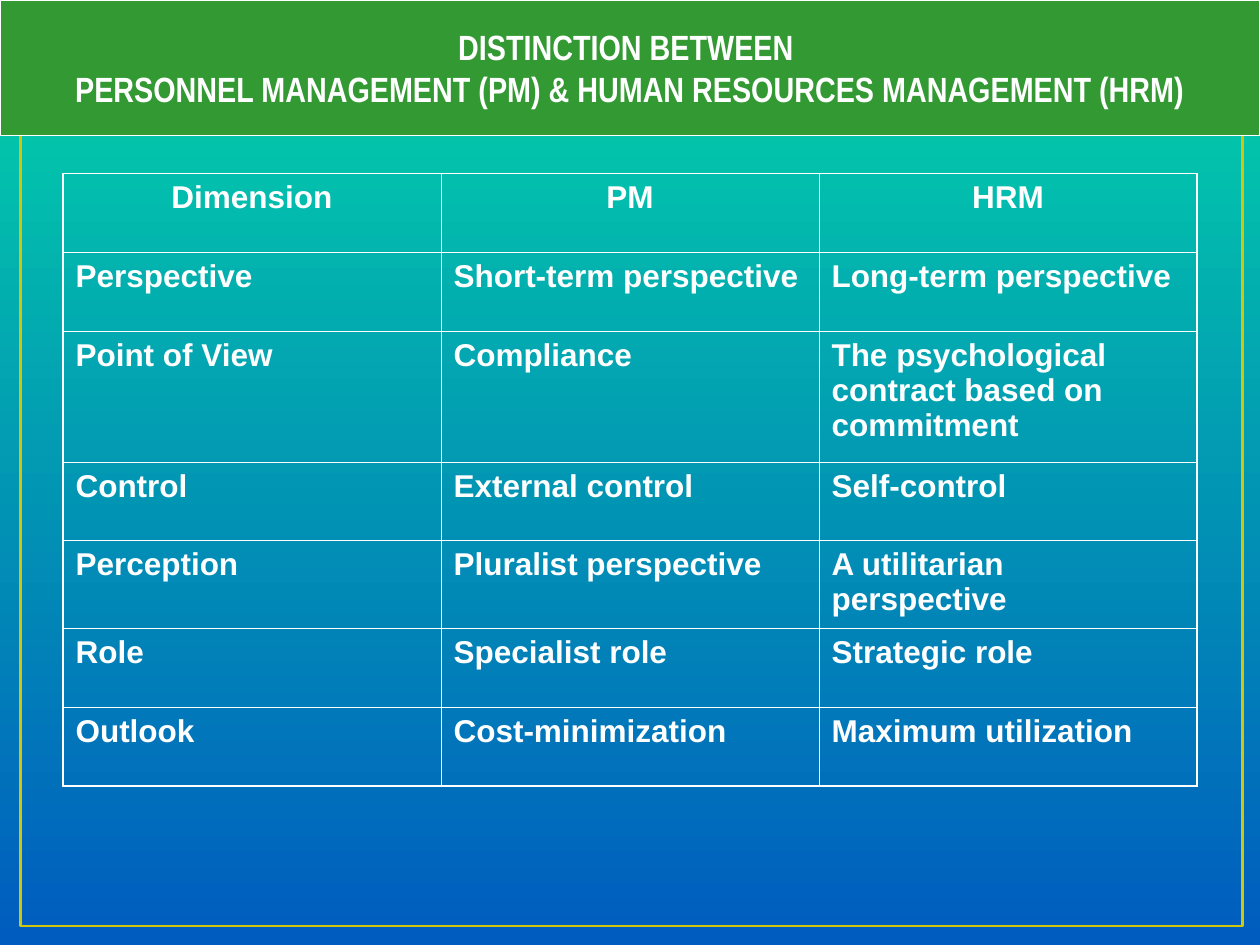
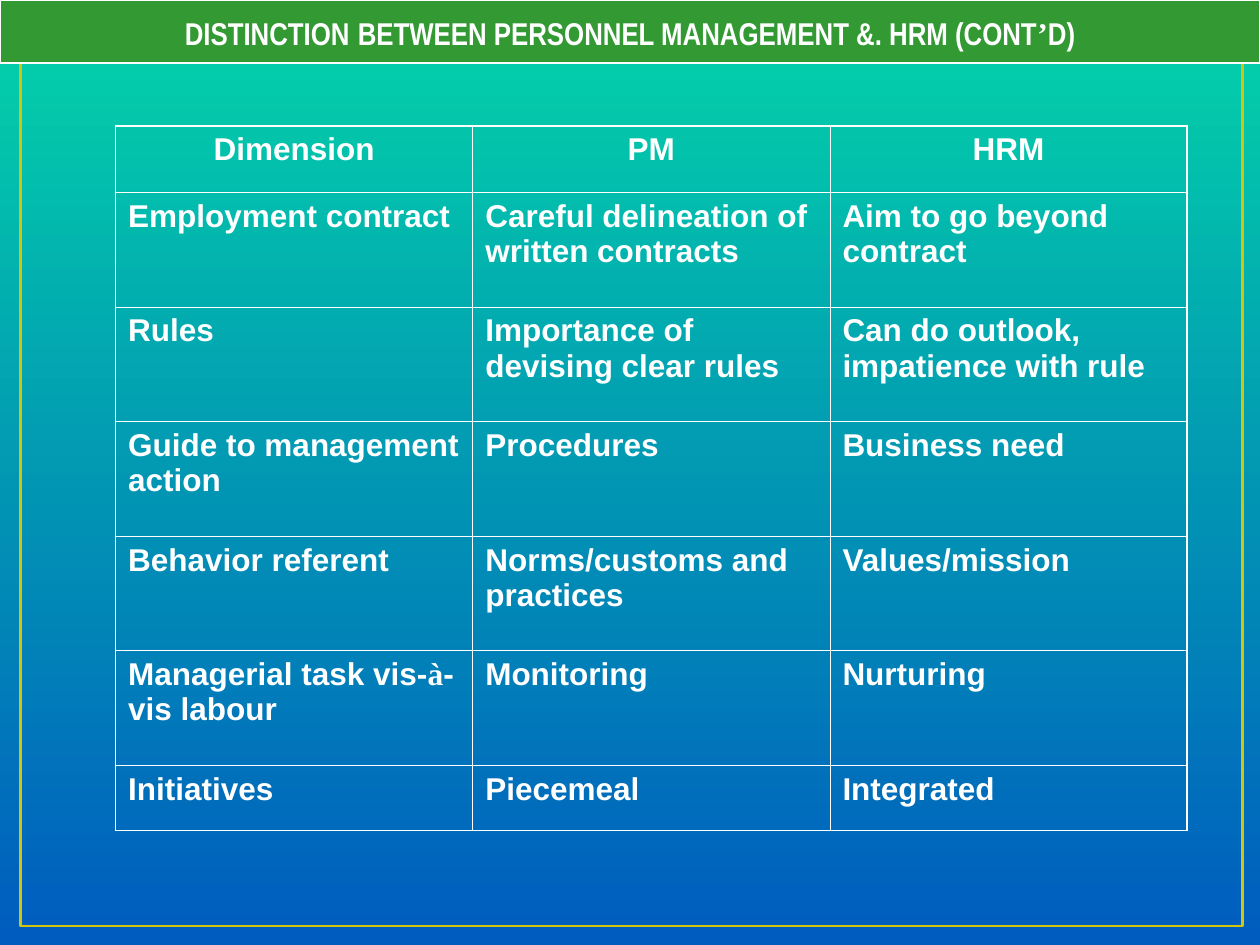
"""Build two slides that compare personnel management with HRM."""
from lxml.etree import SubElement
from pptx import Presentation
from pptx.dml.color import RGBColor
from pptx.enum.shapes import MSO_SHAPE as SHAPE
from pptx.enum.text import MSO_ANCHOR as ANCHOR, PP_ALIGN as ALIGN
from pptx.oxml.ns import qn
from pptx.util import Cm, Pt

COLORS = {"top": "03D4A8", "bottom": "005CBF", "frame": "CFC60D",
          "band": "339933", "white": "FFFFFF"}
TITLE = {"name": "Arial Narrow", "size": Pt(20), "bold": True}
BODY = {"name": "Arial", "size": Pt(18), "bold": True}
SMALL = {"size": Pt(18)}
SERIF = {"name": "Times New Roman"}
OUTER, INNER = Pt(1.08), Pt(0.45)
WIDTH, HEIGHT = Cm(25.4), Cm(19.05)
HEADER = ("Dimension", "PM", "HRM")

SLIDES = [
    {
        "title": [["DISTINCTION BETWEEN "],
                  ["PERSONNEL MANAGEMENT (PM) & HUMAN RESOURCES MANAGEMENT (HRM)"]],
        "band": Cm(2.74),
        "at": (Cm(1.27), Cm(3.5)),
        "col": Cm(7.62),
        "heights": [1.59, 1.59, 2.64, 1.57, 1.78, 1.59, 1.59],
        "rows": [
            ("Perspective", "Short-term perspective", "Long-term perspective"),
            ("Point of View", "Compliance",
             "The psychological contract based on commitment"),
            ("Control", "External control", "Self-control"),
            ("Perception", "Pluralist perspective", "A utilitarian perspective"),
            ("Role", "Specialist role", "Strategic role"),
            ("Outlook", "Cost-minimization", "Maximum utilization"),
        ],
    },
    {
        "title": [[("DISTINCTION", SMALL), " ",
                   ("BETWEEN PERSONNEL MANAGEMENT &. HRM (CONT", SMALL),
                   ("’", SMALL | SERIF), ("D)", SMALL)]],
        "band": Cm(1.27),
        "at": (Cm(2.33), Cm(2.54)),
        "col": Cm(7.2),
        "heights": [1.34] + [2.31] * 5 + [1.31],
        "rows": [
            ("Employment contract", "Careful delineation of written contracts",
             "Aim to go beyond contract"),
            ("Rules", "Importance of devising clear rules",
             "Can do outlook, impatience with rule"),
            ("Guide to management action", "Procedures", "Business need"),
            ("Behavior referent", "Norms/customs and practices", "Values/mission"),
            (["Managerial task vis-", ("à", SERIF), "-vis labour"],
             "Monitoring", "Nurturing"),
            ("Initiatives", "Piecemeal", "Integrated"),
        ],
    },
]


def rgb(key):
    return RGBColor.from_string(COLORS[key])


def write(p, runs, style, align):
    p.alignment = align
    for run in [runs] if isinstance(runs, str) else runs:
        text, extra = (run, {}) if isinstance(run, str) else run
        r = p.add_run()
        r.text = text
        for name, value in (style | extra).items():
            setattr(r.font, name, value)
        r.font.color.rgb = rgb("white")


def add_box(s, at, line, weight, fill=None):
    sp = s.shapes.add_shape(SHAPE.RECTANGLE, *at)
    sp.shadow.inherit = False
    sp.line.color.rgb = rgb(line)
    sp.line.width = Pt(weight)
    if fill:
        sp.fill.solid()
        sp.fill.fore_color.rgb = rgb(fill)
    else:
        sp.fill.background()
    return sp


def add_band(s, height, title):
    tf = add_box(s, (0, 0, WIDTH, height), "white", 0.75, "band").text_frame
    tf.word_wrap = False
    tf.vertical_anchor = ANCHOR.MIDDLE
    for i, runs in enumerate(title):
        p = tf.add_paragraph() if i else tf.paragraphs[0]
        write(p, runs, TITLE, ALIGN.CENTER)


def set_borders(cell, outer_sides):
    props = cell._tc.get_or_add_tcPr()
    for i, (side, is_outer) in enumerate(outer_sides.items()):
        ln = SubElement(props, qn(f"a:ln{side}"), w=str(OUTER if is_outer else INNER))
        fill = SubElement(ln, qn("a:solidFill"))
        SubElement(fill, qn("a:srgbClr"), val=COLORS["white"])
        props.insert(i, ln)


def add_comparison(s, at, col, heights, rows):
    rows = [HEADER] + rows
    last_row, last_col = len(rows) - 1, len(HEADER) - 1
    table = s.shapes.add_table(len(rows), len(HEADER), *at, col * len(HEADER),
                               Cm(sum(heights))).table
    table.first_row = table.horz_banding = False
    for column in table.columns:
        column.width = col
    for i, row in enumerate(rows):
        table.rows[i].height = Cm(heights[i])
        for j, runs in enumerate(row):
            cell = table.cell(i, j)
            cell.fill.background()
            set_borders(cell, {"L": j == 0, "R": j == last_col,
                               "T": i == 0, "B": i == last_row})
            write(cell.text_frame.paragraphs[0], runs, BODY,
                  ALIGN.LEFT if i else ALIGN.CENTER)


def main():
    prs = Presentation()
    prs.slide_width, prs.slide_height = WIDTH, HEIGHT
    for data in SLIDES:
        s = prs.slides.add_slide(prs.slide_layouts[6])
        fill = s.background.fill
        fill.gradient()
        fill.gradient_angle = 270
        for stop, key, position in zip(fill.gradient_stops, ("top", "bottom"), (0, 1)):
            stop.color.rgb = rgb(key)
            stop.position = position
        add_box(s, (Cm(0.41), Cm(0.38), Cm(24.64), Cm(18.29)), "frame", 1.5)
        add_band(s, data["band"], data["title"])
        add_comparison(s, data["at"], data["col"], data["heights"], data["rows"])
    prs.save("out.pptx")


if __name__ == "__main__":
    main()
